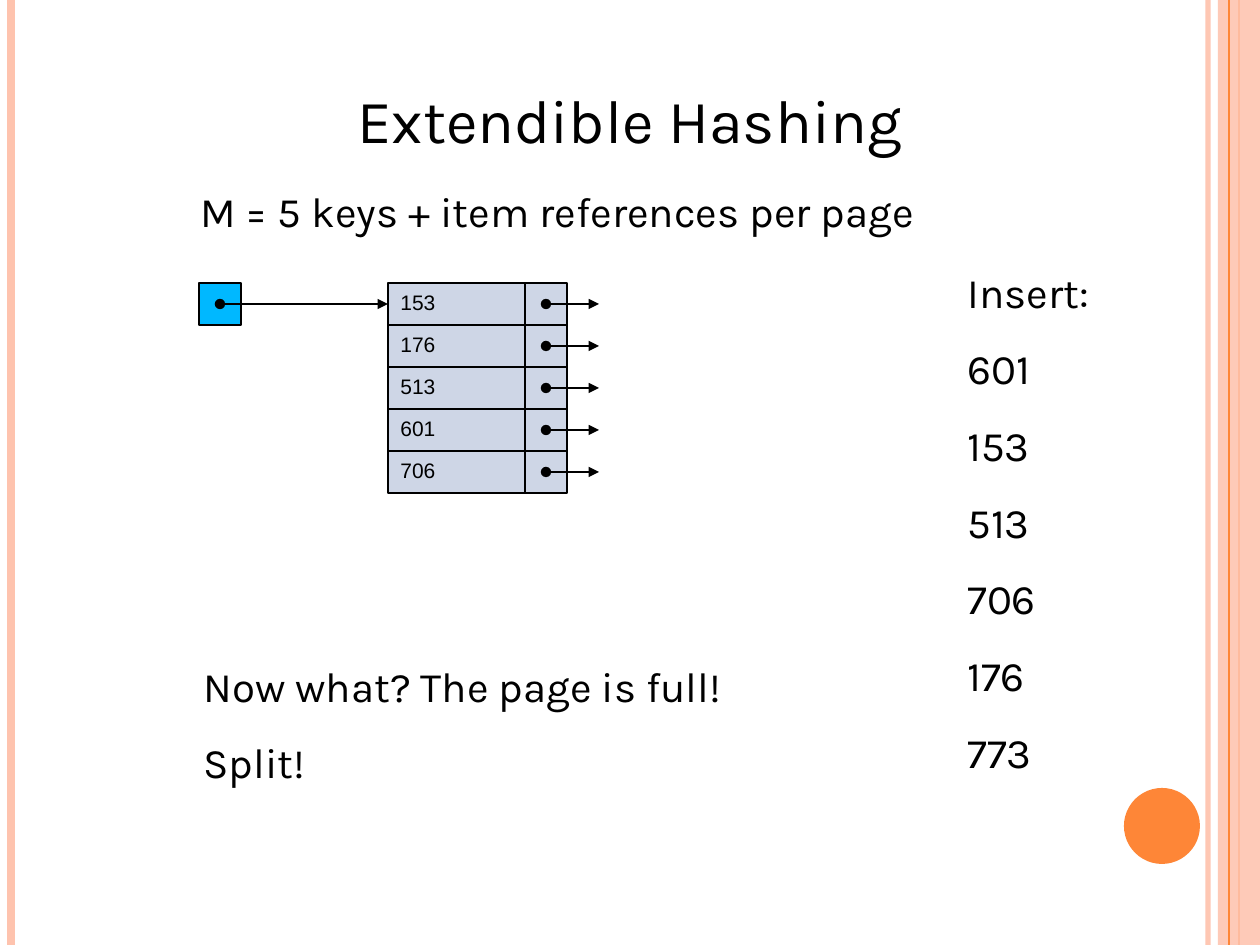
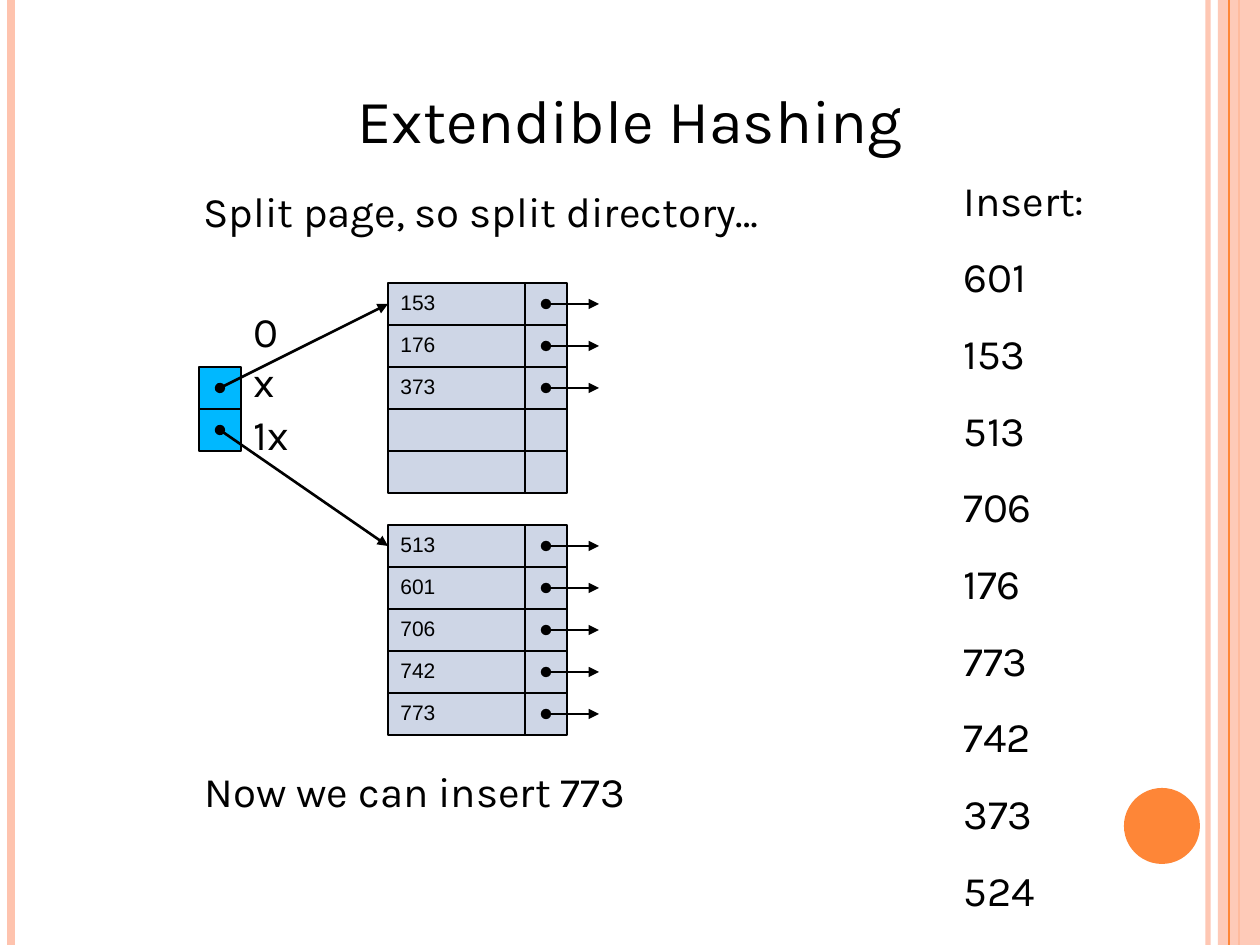
from dataclasses import dataclass

from lxml import etree
from pptx import Presentation
from pptx.dml.color import RGBColor
from pptx.enum.shapes import MSO_CONNECTOR, MSO_SHAPE
from pptx.enum.text import MSO_ANCHOR, PP_ALIGN
from pptx.oxml.ns import qn
from pptx.util import Emu, Pt

RECT, OVAL = MSO_SHAPE.RECTANGLE, MSO_SHAPE.OVAL
STRAIGHT = MSO_CONNECTOR.STRAIGHT
TOP, MIDDLE = MSO_ANCHOR.TOP, MSO_ANCHOR.MIDDLE
LEFT, CENTER = PP_ALIGN.LEFT, PP_ALIGN.CENTER
LEFT_SIDE = 1

EMU_PER_INCH, PX_PER_INCH = 914400, 126
SLIDE_W, SLIDE_H = 1260, 945
CELL, KEY_W, ARROW_W = 42, 137, 53
DIRECTORY_X, PAGE_X, PAGE_Y, LOWER_PAGE_Y = 199, 388, 283, 525
PAGE_ROWS = 5
TEXT_LINE_H = 63


def px(length):
    return Emu(round(length * EMU_PER_INCH / PX_PER_INCH))


@dataclass(frozen=True)
class Theme:
    ink: RGBColor = RGBColor.from_string("000000")
    accent: RGBColor = RGBColor.from_string("FE8637")
    peach: RGBColor = RGBColor.from_string("FEC3AE")
    directory: RGBColor = RGBColor.from_string("00B8FF")
    page: RGBColor = RGBColor.from_string("CED6E6")
    heading_font: str = "Karla"
    key_font: str = "Arial"
    title_size: int = 35
    body_size: int = 24
    key_size: int = 12
    paragraph_gap: int = 15
    outline: float = 0.75
    arrow: float = 1.5


def apply(target, values):
    for attribute, value in values.items():
        setattr(target, attribute, value)


def set_opacity(element, percent):
    color = next(element.iter(qn("a:srgbClr")))
    etree.SubElement(color, qn("a:alpha"), val=str(percent * 1000))


class Deck:
    def __init__(self, theme):
        self.theme = theme
        self.presentation = Presentation()
        apply(self.presentation, {"slide_width": px(SLIDE_W), "slide_height": px(SLIDE_H)})
        self.slide = None

    def new_slide(self, title):
        blank = self.presentation.slide_layouts[6]
        self.slide = self.presentation.slides.add_slide(blank)
        self.side_bands()
        self.text([title], 95, 66, 1070, 105, self.theme.title_size, CENTER, MIDDLE)

    def side_bands(self):
        theme = self.theme
        self.rail(1208, theme.peach, 3, 93)
        self.rail(11, theme.peach, 4.5)
        self.rail(1239, theme.accent, 1.5)
        band = self.shape(RECT, 1218, 0, 42, SLIDE_H, theme.peach)
        set_opacity(band._element.spPr, 87)
        self.rail(1229, theme.accent, 0.75)
        self.shape(OVAL, 1124, 788, 76, 76, theme.accent)

    def rail(self, x, color, width, opacity=100):
        rail = self.line(x, 0, x, SLIDE_H, color, width)
        if opacity < 100:
            set_opacity(rail._element.spPr, opacity)

    def line(self, x1, y1, x2, y2, color, width):
        line = self.slide.shapes.add_connector(STRAIGHT, px(x1), px(y1), px(x2), px(y2))
        line.line.color.rgb = color
        line.line.width = Pt(width)
        etree.SubElement(line._element.spPr, qn("a:effectLst"))
        return line

    def arrow(self, x1, y1, x2, y2):
        arrow = self.line(x1, y1, x2, y2, self.theme.ink, self.theme.arrow)
        outline = arrow._element.spPr.find(qn("a:ln"))
        for end, kind in (("a:headEnd", "oval"), ("a:tailEnd", "triangle")):
            etree.SubElement(outline, qn(end), type=kind)
        return arrow

    def shape(self, kind, x, y, width, height, fill):
        shape = self.slide.shapes.add_shape(kind, px(x), px(y), px(width), px(height))
        shape.shadow.inherit = False
        shape.fill.solid()
        shape.fill.fore_color.rgb = fill
        shape.line.fill.background()
        return shape

    def cell(self, x, y, width, fill, key=""):
        cell = self.shape(RECT, x, y, width, CELL, fill)
        cell.line.color.rgb = self.theme.ink
        cell.line.width = Pt(self.theme.outline)
        if key:
            self.set_text(cell.text_frame, [key], self.theme.key_font, self.theme.key_size)
        return cell

    def set_text(self, frame, lines, font, size, align=LEFT, anchor=TOP):
        apply(frame, {"word_wrap": True, "vertical_anchor": anchor})
        for index, words in enumerate(lines):
            paragraph = frame.add_paragraph() if index else frame.paragraphs[0]
            paragraph.alignment = align
            if index:
                paragraph.space_before = Pt(self.theme.paragraph_gap)
            run = paragraph.add_run()
            run.text = words
            apply(run.font, {"name": font, "size": Pt(size)})
            run.font.color.rgb = self.theme.ink

    def text(self, lines, x, y, width, height, size=None, align=LEFT, anchor=TOP):
        box = self.slide.shapes.add_textbox(px(x), px(y), px(width), px(height))
        self.set_text(box.text_frame, lines, self.theme.heading_font,
                      size or self.theme.body_size, align, anchor)

    def page(self, y, keys):
        key_cells = []
        reference_x = PAGE_X + KEY_W
        for row in range(PAGE_ROWS):
            top = y + row * CELL
            key = keys[row] if row < len(keys) else ""
            key_cells.append(self.cell(PAGE_X, top, KEY_W, self.theme.page, key))
            self.cell(reference_x, top, CELL, self.theme.page)
            if key:
                start, middle = reference_x + CELL // 2, top + CELL // 2
                self.arrow(start, middle, start + ARROW_W, middle)
        return key_cells[0]

    def directory(self, y, pages):
        for row in range(len(pages)):
            self.cell(DIRECTORY_X, y + row * CELL, CELL, self.theme.directory)
        start = DIRECTORY_X + CELL // 2
        for row, first_key in enumerate(pages):
            middle = y + row * CELL + CELL // 2
            self.arrow(start, middle, PAGE_X, middle).end_connect(first_key, LEFT_SIDE)

    def insert_list(self, x, y, height, keys):
        self.text(["Insert:", *keys], x, y, 153, height)


def full_page_slide(deck, title, inserted):
    deck.new_slide(title)
    deck.text(["M = 5 keys + item references per page"], 188, 179, 775, TEXT_LINE_H)
    first_key = deck.page(PAGE_Y, ["153", "176", "513", "601", "706"])
    deck.directory(PAGE_Y, [first_key])
    deck.insert_list(955, 260, 523, inserted)
    deck.text(["Now what? The page is full!", "Split!"], 191, 654, 562, 140)


def split_page_slide(deck, title, inserted):
    deck.new_slide(title)
    deck.text(["Split page, so split directory…"], 191, 179, 604, TEXT_LINE_H)
    upper_key = deck.page(PAGE_Y, ["153", "176", "373"])
    lower_key = deck.page(LOWER_PAGE_Y, ["513", "601", "706", "742", "773"])
    deck.directory(PAGE_Y + 2 * CELL, [upper_key, lower_key])
    for prefix, y in (("0x", 299), ("1x", 402)):
        deck.text([prefix], 241, y, 66, TEXT_LINE_H)
    deck.insert_list(951, 168, 777, inserted)
    deck.text(["Now we can insert 773"], 192, 759, 470, TEXT_LINE_H)


def main():
    deck = Deck(Theme())
    title = "Extendible Hashing"
    inserted = ["601", "153", "513", "706", "176", "773"]
    full_page_slide(deck, title, inserted)
    split_page_slide(deck, title, inserted + ["742", "373", "524"])
    deck.presentation.save("out.pptx")


if __name__ == "__main__":
    main()
